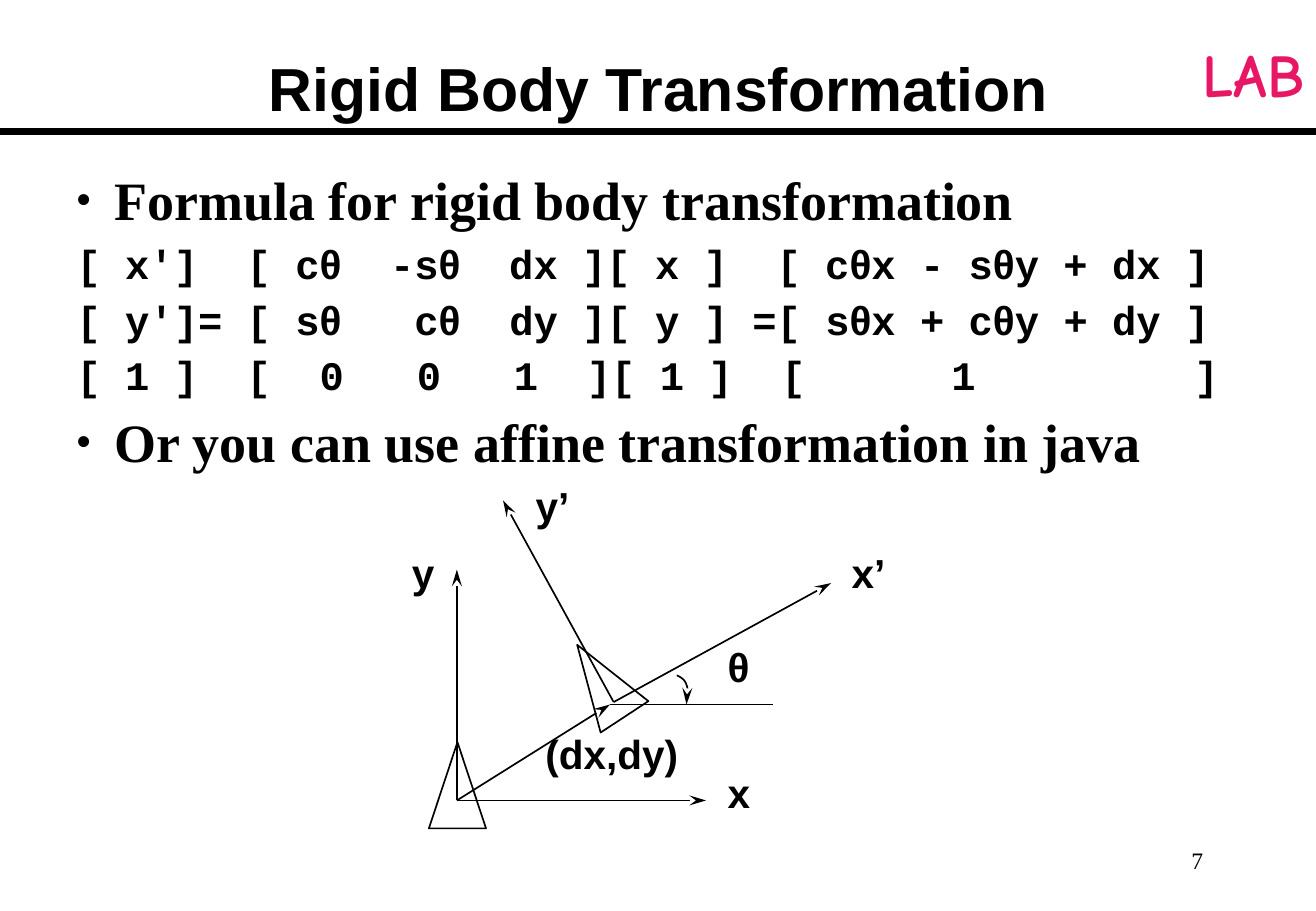
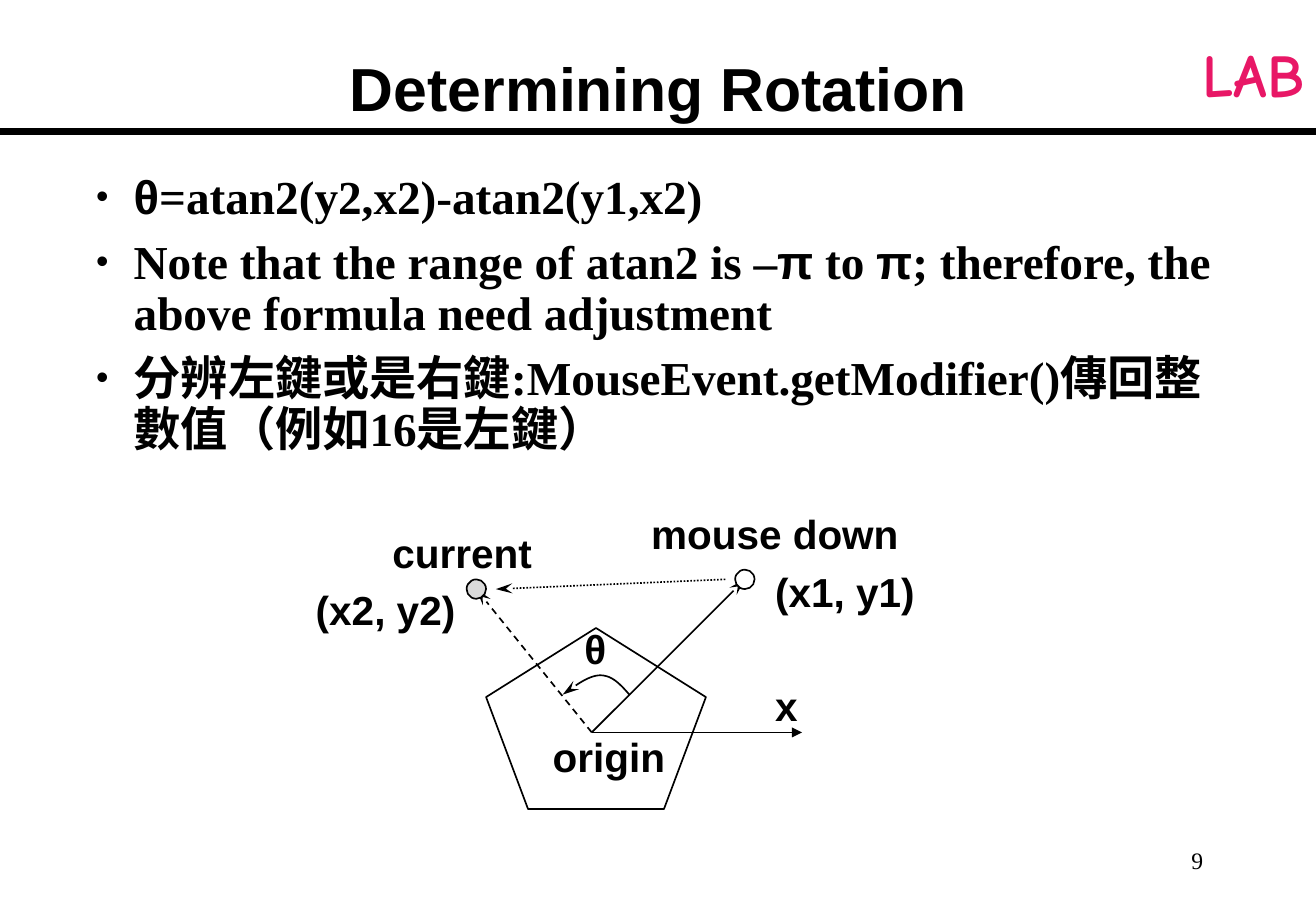
from itertools import groupby

from lxml.etree import SubElement
from pptx import Presentation
from pptx.dml.color import RGBColor
from pptx.enum.dml import MSO_LINE
from pptx.enum.shapes import MSO_CONNECTOR, MSO_SHAPE
from pptx.enum.text import MSO_ANCHOR, MSO_AUTO_SIZE, PP_ALIGN
from pptx.oxml.ns import qn
from pptx.util import Inches, Pt

BLACK = RGBColor(0x00, 0x00, 0x00)
WHITE = RGBColor(0xFF, 0xFF, 0xFF)
GRAY = RGBColor(0xDA, 0xDA, 0xDA)
PINK = RGBColor(0xE8, 0x17, 0x66)
SANS, SERIF, MONO = "Arial", "Times New Roman", "Courier New"
GREEK, GAP = "θπ", "_"
INDENT = 0.31
MONO_PITCH = 0.6  # width of a monospaced character, in ems
CURVE_STEPS = 16

TRIANGLE, PENTAGON, CIRCLE = (
    MSO_SHAPE.ISOSCELES_TRIANGLE, MSO_SHAPE.REGULAR_PENTAGON, MSO_SHAPE.OVAL)

# Content. Body: (text, size, gaps); gaps holds the width in characters of each
# GAP mark in a matrix row, and is None for a bullet
# Lines: (from, to, arrowhead, dash); shapes: (kind, box, rotation, fill)
BASE, MOVED = (3.76, 6.59), (5.02, 5.8)
TURNED = (5.05, 5.78)
ORIGIN = (4.87, 6.03)
SLIDES = [
    {
        "title": "Rigid Body Transformation",
        "number": "7",
        "body_box": (0.53, 1.38, 9.76, 5.58),
        "body": [
            ("Formula for rigid body transformation", 32, None),
            ("[ x']_[ cθ_-sθ_dx ][ x ]_[ cθx - sθy + dx ]", 24, (2, 2, 2, 2)),
            ("[ y']= [ sθ_cθ_dy ][ y ] =[ sθx + cθy + dy ]", 24, (3, 2)),
            ("[ 1 ]_[_0_0_1_][ 1 ]_[_1_]", 24, (2, 2, 3, 3, 2, 2, 6, 9)),
            ("Or you can use affine transformation in java", 32, None),
        ],
        "lines": [
            (BASE, (3.76, 4.69), "stealth", None),
            (BASE, (5.81, 6.59), "stealth", None),
            (TURNED, (4.14, 4.12), "stealth", None),
            (TURNED, (6.84, 4.8), "stealth", None),
            (BASE, MOVED, "stealth", None),
            (MOVED, (6.36, 5.8), None, None),
        ],
        "angle": [(5.57, 5.56),
                  (5.61, 5.58), (5.64, 5.6), (5.65, 5.64),
                  (5.67, 5.68), (5.65, 5.77), (5.65, 5.8)],
        "shapes": [
            (TRIANGLE, (3.53, 6.11, 0.47, 0.71), 0, None),
            (TRIANGLE, (4.71, 5.25, 0.47, 0.71), 326.7, None),
        ],
        "labels": [
            ("(dx,dy)", 4.39, 5.95, 1.29),
            ("θ", 5.89, 5.24, 0.37),
            ("x", 5.89, 6.27, 0.39),
            ("y", 3.29, 4.46, 0.39),
            ("x’", 6.91, 4.46, 0.48),
            ("y’", 4.31, 3.91, 0.48),
        ],
    },
    {
        "title": "Determining Rotation",
        "number": "9",
        "body_box": (0.69, 1.38, 9.45, 2.45),
        "body": [
            ("θ=atan2(y2,x2)-atan2(y1,x2)", 28, None),
            ("Note that the range of atan2 is –π to π; therefore, the above "
             "formula need adjustment", 28, None),
            ("分辨左鍵或是右鍵:MouseEvent.getModifier()傳回整數值（例如16是左鍵）",
             28, None),
        ],
        "lines": [
            (ORIGIN, (6.13, 4.77), "stealth", None),
            (ORIGIN, (3.92, 4.85), "stealth", MSO_LINE.DASH),
            (ORIGIN, (6.6, 6.03), "triangle", None),
            ((5.97, 4.77), (4.08, 4.85), "stealth", MSO_LINE.ROUND_DOT),
        ],
        "angle": [(5.18, 5.72),
                  (5.11, 5.64), (5.04, 5.56), (4.94, 5.56),
                  (4.85, 5.56), (4.74, 5.64), (4.63, 5.72)],
        "shapes": [
            (PENTAGON, (4, 5.17, 1.81, 1.49), 0, None),
            (CIRCLE, (6.05, 4.69, 0.16, 0.16), 0, WHITE),
            (CIRCLE, (3.84, 4.77, 0.16, 0.16), 0, GRAY),
        ],
        "labels": [
            ("θ", 4.71, 5.09, 0.38),
            ("origin", 4.45, 5.98, 1.13),
            ("mouse down", 5.26, 4.14, 2.24),
            ("current", 3.13, 4.3, 1.35),
            ("x", 6.28, 5.56, 0.39),
            ("(x1, y1)", 6.28, 4.62, 1.35),
            ("(x2, y2)", 2.5, 4.77, 1.35),
        ],
    },
]


def inches(values):
    return [Inches(value) for value in values]


def place(shape, box):
    shape.left, shape.top, shape.width, shape.height = inches(box)


def style(span, font, size, bold=True, color=BLACK):
    span.font.name, span.font.size, span.font.bold = font, Pt(size), bold
    span.font.color.rgb = color


def add_text(page, text, box, font, size, align=PP_ALIGN.LEFT, wrap=False, **look):
    label = page.shapes.add_textbox(*inches(box))
    label.text_frame.word_wrap = wrap
    para = label.text_frame.paragraphs[0]
    para.text, para.alignment = text, align
    style(para.runs[0], font, size, **look)
    return label


def outline(shape, width=1, head=None, dash=None):
    shape.line.color.rgb = BLACK
    shape.line.width = Pt(width)
    if dash:
        shape.line.dash_style = dash
    if head:
        length = "lg" if head == "stealth" else "med"
        SubElement(shape.element.spPr.find(qn("a:ln")), qn("a:tailEnd"),
                   type=head, w="med", len=length)


def add_line(page, start, end, width=1, head=None, dash=None):
    line = page.shapes.add_connector(
        MSO_CONNECTOR.STRAIGHT, *inches(start + end))
    outline(line, width, head, dash)
    SubElement(line.element.spPr, qn("a:effectLst"))
    return line


def add_shape(page, kind, box, rotation, fill):
    shape = page.shapes.add_shape(kind, *inches(box))
    shape.rotation = rotation
    shape.shadow.inherit = False
    if fill is None:
        shape.fill.background()
    else:
        shape.fill.solid()
        shape.fill.fore_color.rgb = fill
    outline(shape)


def bezier(start, first, second, end, t):
    weights = ((1 - t) ** 3, 3 * t * (1 - t) ** 2, 3 * t * t * (1 - t), t ** 3)
    columns = zip(start, first, second, end)
    return tuple(sum(w * v for w, v in zip(weights, column)) for column in columns)


def add_curve(page, knots):
    points = [inches(bezier(*knots[first:first + 4], step / CURVE_STEPS))
              for first in range(0, len(knots) - 1, 3)
              for step in range(1, CURVE_STEPS + 1)]
    builder = page.shapes.build_freeform(*inches(knots[0]))
    builder.add_line_segments(points, close=False)
    curve = builder.convert_to_shape()
    curve.fill.background()
    curve.shadow.inherit = False
    outline(curve, head="stealth")


def format_body(para, bulleted):
    para.line_spacing = 0.9
    props = para._p.get_or_add_pPr()
    before = SubElement(props, qn("a:spcBef"))
    SubElement(before, qn("a:spcPct"), val="30000")
    props.set("marL", str(Inches(INDENT)))
    props.set("indent", str(-Inches(INDENT)))
    if bulleted:
        SubElement(props, qn("a:buSzPct"), val="75000")
        SubElement(props, qn("a:buChar"), char="•")
    else:
        SubElement(props, qn("a:buNone"))


def font_class(letter):
    return letter if letter == GAP else letter in GREEK


def fill_body(body, items):
    frame = body.text_frame
    frame.auto_size = MSO_AUTO_SIZE.NONE
    frame.text = "\n".join("" for _ in items)
    for para, (text, size, gaps) in zip(frame.paragraphs, items):
        format_body(para, bulleted=gaps is None)
        widths = iter(gaps or ())
        for kind, letters in groupby(text, font_class):
            span = para.add_run()
            span.text = " " if kind == GAP else "".join(letters)
            font = SANS if kind is True else SERIF if gaps is None else MONO
            style(span, font, size)
            if kind == GAP:  # one space, widened by letter spacing
                extra = (next(widths) - 1) * MONO_PITCH * size
                span.font._element.set("spc", str(round(extra * 100)))


def fill_title(title, text):
    frame = title.text_frame
    frame.text = text
    frame.auto_size = MSO_AUTO_SIZE.NONE
    frame.vertical_anchor = MSO_ANCHOR.BOTTOM
    para = frame.paragraphs[0]
    para.alignment, para.line_spacing = PP_ALIGN.CENTER, 0.9
    style(para.runs[0], SANS, 36)


deck = Presentation()
deck.slide_width, deck.slide_height = inches((10.83, 7.5))
layout = deck.slide_layouts[1]
place(layout.placeholders[0], (0.92, 0.08, 9, 1))

for number, content in enumerate(SLIDES):
    page = deck.slides.add_slide(layout)

    # Shared rule and corner word, kept on the layout
    if number == 0:
        rule = add_line(page, (0, 1.08), (10.83, 1.08), width=4)
        corner = add_text(page, "LAB", (9.8, 0.25, 1.03, 0.7), "Comic Neue", 36,
                          PP_ALIGN.CENTER, wrap=True, color=PINK)
        corner.text_frame.margin_left = corner.text_frame.margin_right = 0
        for shared in (rule, corner):
            layout.shapes.element.append(shared.element)

    # Title, body and page number
    fill_title(page.shapes.title, content["title"])
    body = page.placeholders[1]
    place(body, content["body_box"])
    fill_body(body, content["body"])
    footer = add_text(page, content["number"], (7.75, 6.83, 2.25, 0.5), SERIF, 14,
                      PP_ALIGN.RIGHT, wrap=True, bold=False)
    footer.text_frame.vertical_anchor = MSO_ANCHOR.MIDDLE

    # Diagram
    for start, end, head, dash in content["lines"]:
        add_line(page, start, end, head=head, dash=dash)
    add_curve(page, content["angle"])
    for kind, box, rotation, fill in content["shapes"]:
        add_shape(page, kind, box, rotation, fill)
    for text, left, top, width in content["labels"]:
        add_text(page, text, (left, top, width, 0.5), SANS, 24)

deck.save("out.pptx")
